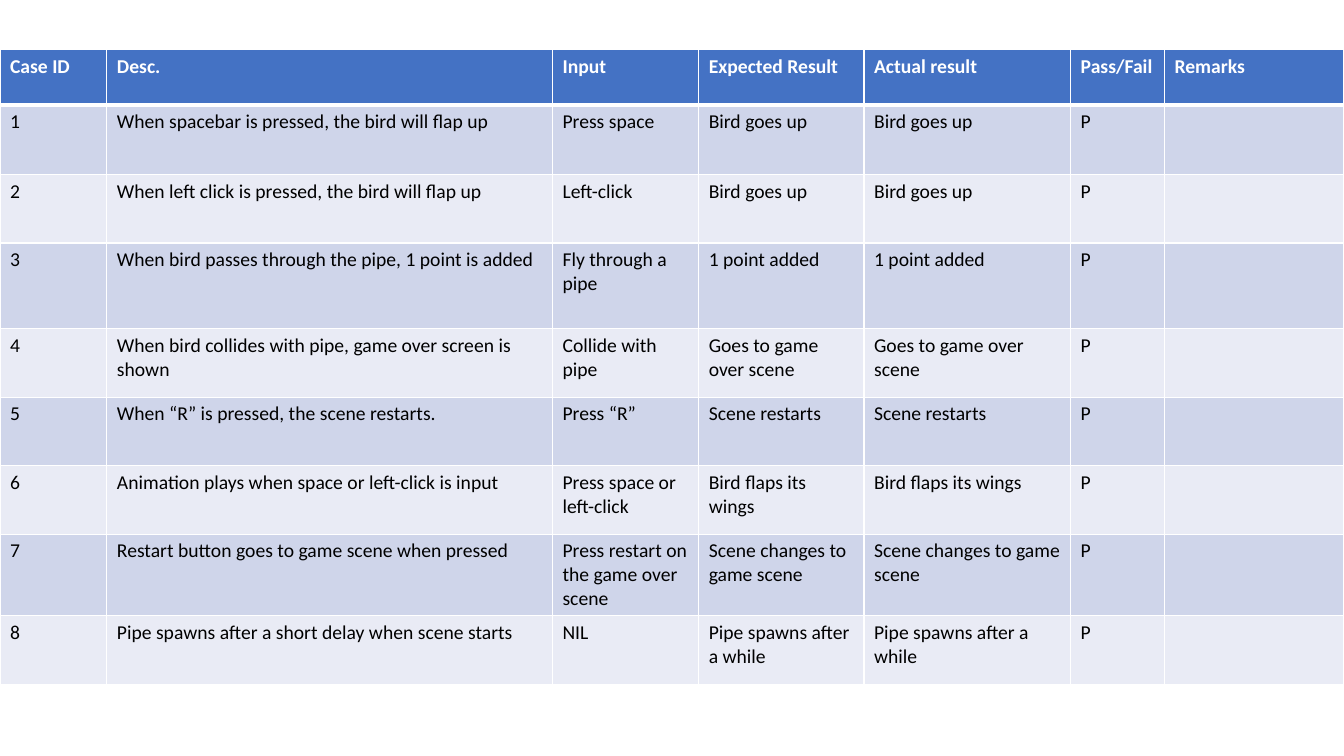
"""Build a slide with a table of game test cases and their results."""
from dataclasses import astuple, dataclass

from lxml import etree
from pptx import Presentation
from pptx.dml.color import RGBColor
from pptx.oxml import ns
from pptx.util import Inches, Pt

WHITE = RGBColor(0xFF, 0xFF, 0xFF)
BLACK = RGBColor(0x00, 0x00, 0x00)
HEADER_BLUE = RGBColor(0x44, 0x72, 0xC4)
BAND_DARK = RGBColor(0xCF, 0xD5, 0xEA)
BAND_LIGHT = RGBColor(0xE9, 0xEB, 0xF5)

COLUMN_WIDTHS = (1.06, 4.42, 1.45, 1.64, 2.05, 0.93, 1.78)
ROW_HEIGHTS = (0.55, 0.69, 0.68, 0.85) + (0.68,) * 5


@dataclass(frozen=True)
class TestCase:
    case_id: str
    description: str
    action: str
    expected: str
    actual: str
    verdict: str = "P"
    remarks: str = ""


CASES = (
    TestCase("Case ID", "Desc.", "Input", "Expected Result", "Actual result",
             "Pass/Fail", "Remarks"),
    TestCase("1", "When spacebar is pressed, the bird will flap up",
             "Press space", "Bird goes up", "Bird goes up"),
    TestCase("2", "When left click is pressed, the bird will flap up",
             "Left-click", "Bird goes up", "Bird goes up"),
    TestCase("3", "When bird passes through the pipe, 1 point is added",
             "Fly through a pipe", "1 point added", "1 point added"),
    TestCase("4", "When bird collides with pipe, game over screen is shown",
             "Collide with pipe", "Goes to game over scene",
             "Goes to game over scene"),
    TestCase("5", "When “R” is pressed, the scene restarts.",
             "Press “R”", "Scene restarts", "Scene restarts"),
    TestCase("6", "Animation plays when space or left-click is input",
             "Press space or left-click", "Bird flaps its wings",
             "Bird flaps its wings"),
    TestCase("7", "Restart button goes to game scene when pressed",
             "Press restart on the game over scene",
             "Scene changes to game scene", "Scene changes to game scene"),
    TestCase("8", "Pipe spawns after a short delay when scene starts",
             "NIL", "Pipe spawns after a while", "Pipe spawns after a while"),
)


def add_border(cell, side: str, width: float) -> None:
    properties = cell._tc.get_or_add_tcPr()
    line = etree.SubElement(properties, ns.qn(f"a:ln{side}"), w=str(Pt(width)))
    fill = etree.SubElement(line, ns.qn("a:solidFill"))
    etree.SubElement(fill, ns.qn("a:srgbClr"), val=str(WHITE))


def format_cell(cell, content: str, row: int) -> None:
    is_header = row == 0
    borders = {"L": 1, "R": 1, "T": 3 if row == 1 else 1, "B": 3 if is_header else 1}
    for side, width in borders.items():
        add_border(cell, side, width)
    cell.fill.solid()
    band = BAND_DARK if row % 2 else BAND_LIGHT
    cell.fill.fore_color.rgb = HEADER_BLUE if is_header else band
    cell.text_frame.text = content
    font = cell.text_frame.paragraphs[0].font
    for span in cell.text_frame.paragraphs[0].runs:
        font = span.font
    font.name = "Calibri"
    font.size = Pt(14)
    font.bold = is_header
    font.color.rgb = WHITE if is_header else BLACK


def add_case_table(page) -> None:
    frame = page.shapes.add_table(
        len(CASES), len(COLUMN_WIDTHS), Inches(0), Inches(0.49),
        Inches(sum(COLUMN_WIDTHS)), Inches(sum(ROW_HEIGHTS)))
    table = frame.table
    for column, width in zip(table.columns, COLUMN_WIDTHS):
        column.width = Inches(width)
    for row, height in zip(table.rows, ROW_HEIGHTS):
        row.height = Inches(height)
    for row, case in enumerate(CASES):
        for column, content in enumerate(astuple(case)):
            format_cell(table.cell(row, column), content, row)


def main() -> None:
    deck = Presentation()
    deck.slide_width, deck.slide_height = Inches(13.33), Inches(7.5)
    page = deck.slides.add_slide(deck.slide_layouts[6])
    add_case_table(page)
    deck.save("out.pptx")


if __name__ == "__main__":
    main()
